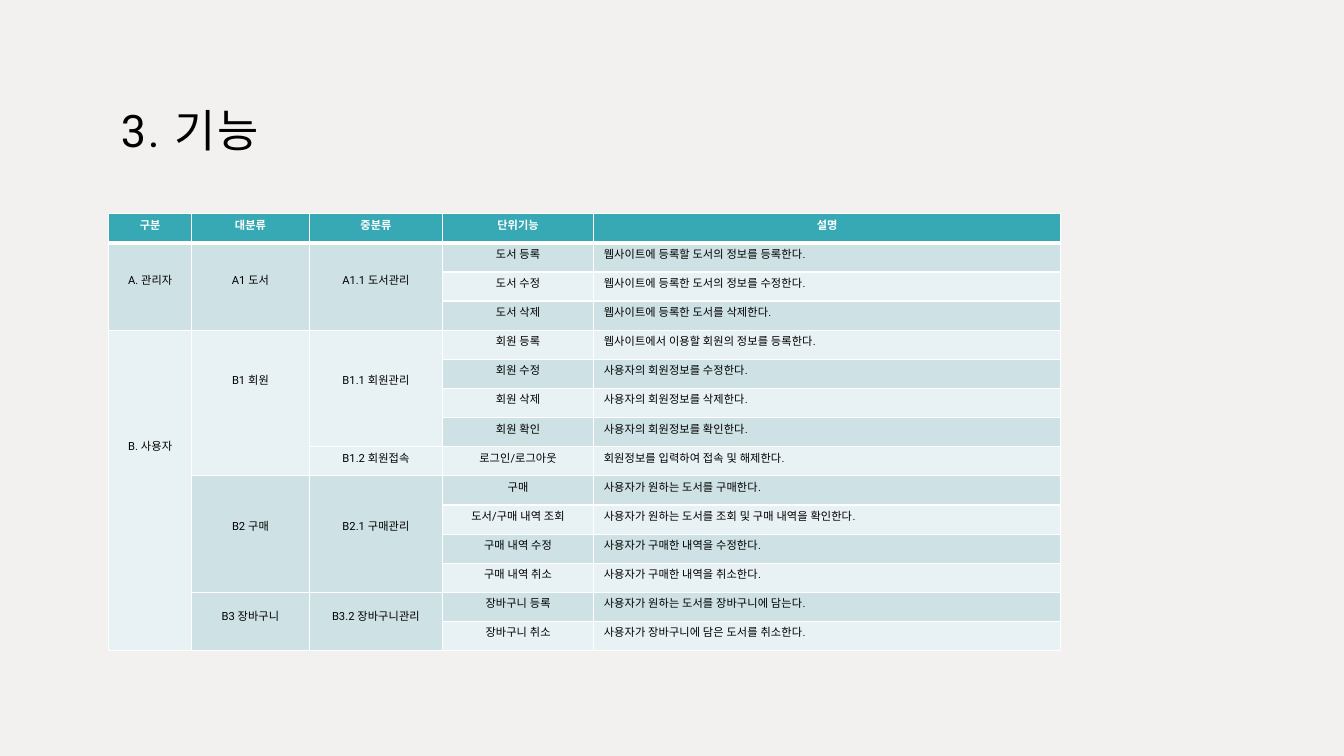
from dataclasses import dataclass

import lxml.etree
import pptx
import pptx.dml.color
import pptx.enum.text
import pptx.oxml.ns
import pptx.util
from pptx.util import Inches


@dataclass(frozen=True)
class Theme:
    """Colours, font and type sizes of the slide."""
    font: str = "Roboto"
    background: str = "F3F1F0"
    ink: str = "000000"
    white: str = "FFFFFF"
    header: str = "37A9B5"
    bands: tuple = ("E8F1F3", "CEE2E5")
    title_size: int = 32
    cell_size: int = 8


THEME = Theme()
COLUMN_WIDTHS = (0.82, 1.17, 1.32, 1.5, 4.63)
HEADINGS = ("구분", "대분류", "중분류", "단위기능", "설명")
FUNCTIONS = (
    ("도서 등록", "웹사이트에 등록할 도서의 정보를 등록한다."),
    ("도서 수정", "웹사이트에 등록한 도서의 정보를 수정한다."),
    ("도서 삭제", "웹사이트에 등록한 도서를 삭제한다."),
    ("회원 등록", "웹사이트에서 이용할 회원의 정보를 등록한다."),
    ("회원 수정", "사용자의 회원정보를 수정한다."),
    ("회원 삭제", "사용자의 회원정보를 삭제한다."),
    ("회원 확인", "사용자의 회원정보를 확인한다."),
    ("로그인/로그아웃", "회원정보를 입력하여 접속 및 해제한다."),
    ("구매", "사용자가 원하는 도서를 구매한다."),
    ("도서/구매 내역 조회", "사용자가 원하는 도서를 조회 및 구매 내역을 확인한다."),
    ("구매 내역 수정", "사용자가 구매한 내역을 수정한다."),
    ("구매 내역 취소", "사용자가 구매한 내역을 취소한다."),
    ("장바구니 등록", "사용자가 원하는 도서를 장바구니에 담는다."),
    ("장바구니 취소", "사용자가 장바구니에 담은 도서를 취소한다."),
)
# Each group holds its label, the rows it spans and the lines its label is lowered by.
GROUPS = (
    (("A. 관리자", 3, 2), ("B. 사용자", 11, 8)),
    (("A1 도서", 3, 2), ("B1 회원", 5, 3), ("B2 구매", 4, 3), ("B3 장바구니", 2, 1)),
    (("A1.1 도서관리", 3, 2), ("B1.1 회원관리", 4, 3), ("B1.2 회원접속", 1, 0),
     ("B2.1 구매관리", 4, 3), ("B3.2 장바구니관리", 2, 1)),
)
LABEL_LINE = 0.13
CELL_MARGIN = 0.05


def rgb(value):
    """Turn a hex string into a colour."""
    return pptx.dml.color.RGBColor.from_string(value)


def style_text(paragraph, size, color, bold=False, centered=False):
    """Format a paragraph and its runs."""
    align = pptx.enum.text.PP_ALIGN
    paragraph.alignment = align.CENTER if centered else align.LEFT
    for run in paragraph.runs:
        run.font.size = pptx.util.Pt(size)
        run.font.bold = bold
        run.font.color.rgb = rgb(color)
        run.font.name = THEME.font
        east_asian = lxml.etree.SubElement(run.font._element, pptx.oxml.ns.qn("a:ea"))
        east_asian.set("typeface", THEME.font)


def add_title(slide, text):
    """Place and format the slide title."""
    title = slide.shapes.title
    title.left, title.top = Inches(1.08), Inches(0.43)
    title.width, title.height = Inches(11.17), Inches(1.22)
    frame = title.text_frame
    frame.text = text
    frame.word_wrap = True
    frame.auto_size = pptx.enum.text.MSO_AUTO_SIZE.NONE
    frame.vertical_anchor = pptx.enum.text.MSO_ANCHOR.BOTTOM
    frame.margin_left = frame.margin_right = frame.margin_top = Inches(0.12)
    frame.margin_bottom = Inches(0.1)
    style_text(frame.paragraphs[0], THEME.title_size, THEME.ink)
    for run in frame.paragraphs[0].runs:
        run.font._element.set("spc", "120")


def set_borders(cell, row):
    """Draw white cell borders, with a heavy line below the header."""
    widths = {"L": 1, "R": 1, "T": 3 if row == 1 else 1, "B": 3 if row == 0 else 1}
    properties = cell._tc.get_or_add_tcPr()
    for side, width in widths.items():
        line = lxml.etree.SubElement(properties, pptx.oxml.ns.qn(f"a:ln{side}"))
        line.set("w", str(pptx.util.Pt(width)))
        fill = lxml.etree.SubElement(line, pptx.oxml.ns.qn("a:solidFill"))
        lxml.etree.SubElement(fill, pptx.oxml.ns.qn("a:srgbClr")).set("val", THEME.white)


def write_cell(cell, text, header=False, centered=True, lowered=0):
    """Write a cell's text, lowered by a number of lines."""
    cell.text = text
    cell.margin_top = Inches(CELL_MARGIN + LABEL_LINE * lowered)
    style_text(cell.text_frame.paragraphs[0], THEME.cell_size,
               THEME.white if header else THEME.ink, header, centered)


def add_groups(table, column, groups):
    """Merge and label the category cells of one column."""
    row = 1
    for label, span, lowered in groups:
        cell = table.cell(row, column)
        if span > 1:
            cell.merge(table.cell(row + span - 1, column))
        write_cell(cell, label, lowered=lowered)
        row += span


def add_function_table(slide):
    """Build the banded table of functions."""
    table = slide.shapes.add_table(
        len(FUNCTIONS) + 1, len(HEADINGS), Inches(1.08), Inches(2.12),
        Inches(sum(COLUMN_WIDTHS)), Inches(4.34)).table
    for column, width in zip(table.columns, COLUMN_WIDTHS):
        column.width = Inches(width)
    for row, cells in enumerate(table.rows):
        for cell in cells.cells:
            set_borders(cell, row)
            cell.fill.solid()
            cell.fill.fore_color.rgb = rgb(THEME.bands[row % 2] if row else THEME.header)
    for column, heading in enumerate(HEADINGS):
        write_cell(table.cell(0, column), heading, header=True)
    for column, groups in enumerate(GROUPS):
        add_groups(table, column, groups)
    for row, (function, description) in enumerate(FUNCTIONS, start=1):
        write_cell(table.cell(row, 3), function)
        write_cell(table.cell(row, 4), description, centered=False)


def main():
    """Create the slide and save it."""
    presentation = pptx.Presentation()
    presentation.slide_width, presentation.slide_height = Inches(13.33), Inches(7.5)
    slide = presentation.slides.add_slide(presentation.slide_layouts[5])
    slide.background.fill.solid()
    slide.background.fill.fore_color.rgb = rgb(THEME.background)
    add_title(slide, "3. 기능")
    add_function_table(slide)
    presentation.save("out.pptx")


if __name__ == "__main__":
    main()
